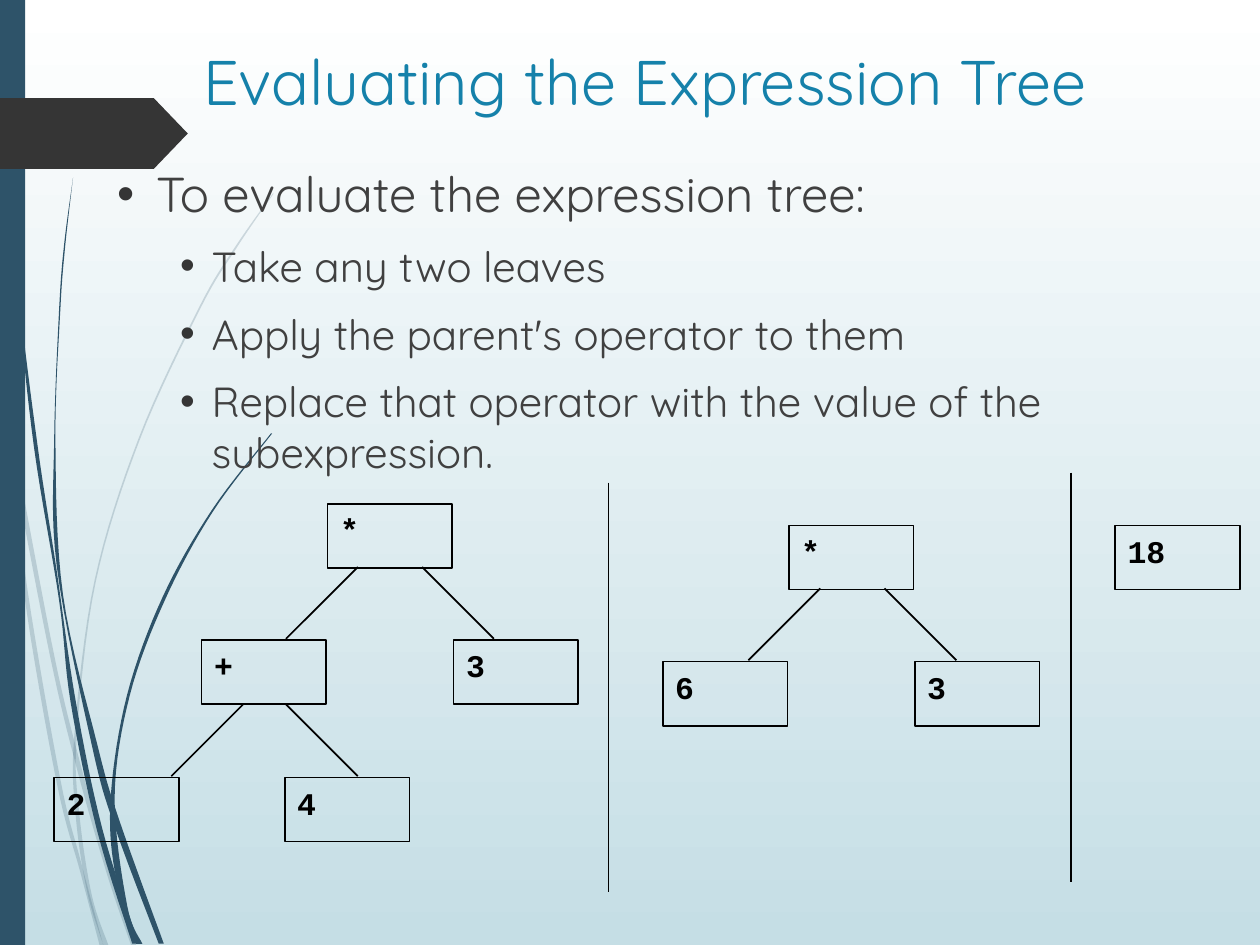
from dataclasses import dataclass

from lxml import etree
from pptx import Presentation
from pptx.dml.color import RGBColor
from pptx.enum.shapes import MSO_CONNECTOR, MSO_SHAPE
from pptx.enum.text import MSO_ANCHOR, MSO_AUTO_SIZE, PP_ALIGN
from pptx.oxml.ns import qn
from pptx.util import Inches, Pt

RECT, ARROW = MSO_SHAPE.RECTANGLE, MSO_SHAPE.PENTAGON
STRAIGHT = MSO_CONNECTOR.STRAIGHT
TOP, NO_FIT = MSO_ANCHOR.TOP, MSO_AUTO_SIZE.NONE
LEFT, CENTER = PP_ALIGN.LEFT, PP_ALIGN.CENTER


@dataclass(frozen=True)
class Theme:
    sky_top: str = "FFFFFF"
    sky_bottom: str = "C5DEE5"
    accent: str = "2E5369"
    tab: str = "353535"
    title: str = "1581AA"
    body: str = "404040"
    ink: str = "000000"
    font: str = "Quicksand"
    code_font: str = "Courier New"
    title_size: int = 36
    body_sizes: tuple = (28, 24)
    code_size: int = 18


# Outlines of the grass blades: each has two edges, listed top to bottom
PALE_BLADES = [
    ([(0, 2.99), (0.12, 3.76), (0.4, 5.22), (0.61, 6.1), (0.85, 6.94), (1.04, 7.5)],
     [(0, 2.82), (0.1, 3.45), (0.43, 5.2), (0.64, 6.07), (0.88, 6.92), (1.08, 7.5)]),
    ([(0.08, 3.5), (0.19, 4.7), (0.45, 6.21), (0.64, 6.93), (0.79, 7.5)],
     [(0.08, 3.5), (0.22, 4.69), (0.48, 6.19), (0.64, 6.83), (0.82, 7.5)]),
    ([(2.17, 1.53), (1.86, 1.97), (1.58, 2.44), (1.1, 3.48), (0.75, 4.61),
      (0.59, 5.84), (0.6, 6.46), (0.69, 7.07), (0.82, 7.5)],
     [(2.17, 1.54), (1.87, 1.98), (1.59, 2.45), (1.11, 3.49), (0.76, 4.62),
      (0.61, 5.84), (0.63, 6.46), (0.73, 7.11), (0.86, 7.5)]),
]
DARK_BLADES = [
    ([(0.02, 0), (0.05, 1.1), (0.14, 2.33), (0.27, 3.55), (0.47, 4.77),
      (0.56, 5.57), (0.77, 6.59), (1.05, 7.49)],
     [(0.03, 0), (0.06, 1.09), (0.15, 2.32), (0.3, 3.55), (0.45, 4.53),
      (0.6, 5.56), (0.81, 6.57), (1.1, 7.49)]),
    ([(0.58, 1.41), (0.51, 1.93), (0.47, 2.44), (0.43, 3.49), (0.45, 4.49),
      (0.73, 5.92), (0.91, 6.56), (1.26, 7.49)],
     [(0.58, 1.41), (0.52, 1.93), (0.48, 2.44), (0.44, 3.49), (0.5, 4.72),
      (0.77, 5.9), (0.94, 6.49), (1.3, 7.49)]),
    ([(2.15, 3.44), (1.68, 4.05), (1.29, 4.74), (1.01, 5.51), (0.88, 6.31),
      (0.91, 6.91), (1.08, 7.49)],
     [(2.16, 3.44), (1.69, 4.06), (1.31, 4.76), (1.03, 5.52), (0.91, 6.33),
      (1.01, 7.19), (1.13, 7.49)]),
]

BULLETS = [
    (0, "To evaluate the expression tree:"),
    (1, "Take any two leaves"),
    (1, "Apply the parent's operator to them"),
    (1, "Replace that operator with the value of the subexpression."),
]
BULLET_INDENTS = [(0.81, -0.31), (1.25, -0.25)]

# Trees: nodes as (text, left, top), branches as (start x, start y, direction)
NODES = [
    ("*", 2.6, 4), ("+", 1.6, 5.08), ("3", 3.6, 5.08), ("2", 0.43, 6.17), ("4", 2.26, 6.17),
    ("*", 6.26, 4.17), ("6", 5.26, 5.25), ("3", 7.26, 5.25),
    ("18", 8.85, 4.17),
]
BRANCHES = [
    (2.84, 4.5, -1), (3.35, 4.5, 1), (1.93, 5.59, -1), (2.27, 5.59, 1),
    (6.51, 4.67, -1), (7.02, 4.67, 1),
]
BRANCH_SPAN = 0.57
NODE_SIZE = (0.99, 0.51)
DIVIDERS = [(4.83, 3.83), (8.5, 3.75)]
DIVIDER_HEIGHT = 3.25


def smooth(points, steps=8):
    """Points along a Catmull-Rom curve through the given points."""
    padded = [points[0], *points, points[-1]]
    curve = [points[0]]
    for a, b, c, d in zip(padded, padded[1:], padded[2:], padded[3:]):
        for i in range(1, steps + 1):
            t = i / steps
            curve.append(tuple(
                b[k] + t * (c[k] - a[k]) / 2
                + t * t * (a[k] - 2.5 * b[k] + 2 * c[k] - d[k] / 2)
                + t ** 3 * (3 * b[k] - a[k] - 3 * c[k] + d[k]) / 2
                for k in (0, 1)))
    return curve


class Deck:
    def __init__(self, theme, s):
        self.theme, self.s = theme, s

    def background(self):
        fill = self.s.background.fill
        fill.gradient()
        fill.gradient_angle = 270
        colors = (self.theme.sky_top, self.theme.sky_bottom)
        for position, (stop, color) in enumerate(zip(fill.gradient_stops, colors)):
            stop.position = position
            stop.color.rgb = RGBColor.from_string(color)

    def paint(self, sp, color):
        sp.shadow.inherit = False
        sp.line.fill.background()
        sp.fill.solid()
        sp.fill.fore_color.rgb = RGBColor.from_string(color)

    def blade(self, edges, opacity=100):
        near, far = edges
        outline = [(Inches(x), Inches(y)) for x, y in smooth(near) + smooth(far)[::-1]]
        builder = self.s.shapes.build_freeform(*outline[0])
        builder.add_line_segments(outline[1:])
        sp = builder.convert_to_shape()
        self.paint(sp, self.theme.accent)
        if opacity < 100:
            color = sp.fill._xPr.find(f"{qn('a:solidFill')}/{qn('a:srgbClr')}")
            etree.SubElement(color, qn("a:alpha"), val=str(opacity * 1000))

    def block(self, kind, box, color):
        sp = self.s.shapes.add_shape(kind, *map(Inches, box))
        self.paint(sp, color)
        return sp

    def place(self, sp, box):
        """Position a placeholder and bring it in front of the decoration."""
        sp.left, sp.top, sp.width, sp.height = map(Inches, box)
        self.s.shapes.element.append(sp.element)
        tf = sp.text_frame
        tf.word_wrap, tf.auto_size, tf.vertical_anchor = True, NO_FIT, TOP
        return tf

    def style(self, p, font, size, color, bold=False):
        p.font.name, p.font.size, p.font.bold = font, Pt(size), bold
        p.font.color.rgb = RGBColor.from_string(color)

    def title(self, text, box):
        p = self.place(self.s.shapes.title, box).paragraphs[0]
        p.text, p.alignment = text, CENTER
        self.style(p, self.theme.font, self.theme.title_size, self.theme.title)

    def bullets(self, items, box):
        tf = self.place(self.s.placeholders[1], box)
        for i, (depth, text) in enumerate(items):
            p = tf.add_paragraph() if i else tf.paragraphs[0]
            p.text, p.level, p.space_before = text, depth + 1, Pt(10)
            self.style(p, self.theme.font, self.theme.body_sizes[depth], self.theme.body)
            pPr = p._p.get_or_add_pPr()
            margin, indent = BULLET_INDENTS[depth]
            pPr.set("marL", str(Inches(margin)))
            pPr.set("indent", str(Inches(indent)))
            # Bullet settings go in front of the default run properties
            color = etree.Element(qn("a:buClr"))
            etree.SubElement(color, qn("a:srgbClr"), val=self.theme.tab)
            font = etree.Element(qn("a:buFont"), typeface="Arial")
            char = etree.Element(qn("a:buChar"), char="•")
            for el in (color, font, char):
                pPr.find(qn("a:defRPr")).addprevious(el)

    def line(self, x1, y1, x2, y2):
        c = self.s.shapes.add_connector(STRAIGHT, *map(Inches, (x1, y1, x2, y2)))
        c.line.color.rgb = RGBColor.from_string(self.theme.ink)
        c.line.width = Pt(1)
        etree.SubElement(c.element.spPr, qn("a:effectLst"))

    def node(self, text, x, y):
        sp = self.s.shapes.add_shape(RECT, *map(Inches, (x, y, *NODE_SIZE)))
        sp.shadow.inherit = False
        sp.fill.background()
        sp.line.color.rgb = RGBColor.from_string(self.theme.ink)
        sp.line.width = Pt(1)
        sp.text_frame.vertical_anchor = TOP
        p = sp.text_frame.paragraphs[0]
        p.text, p.alignment = text, LEFT
        self.style(p, self.theme.code_font, self.theme.code_size, self.theme.ink, bold=True)


def main():
    prs = Presentation()
    prs.slide_width, prs.slide_height = Inches(10), Inches(7.5)
    theme = Theme()
    deck = Deck(theme, prs.slides.add_slide(prs.slide_layouts[1]))

    # Backdrop
    deck.background()
    for edges in PALE_BLADES:
        deck.blade(edges, opacity=20)
    for edges in DARK_BLADES:
        deck.blade(edges)
    deck.block(RECT, (0, 0, 0.2, 7.5), theme.accent)
    tab = deck.block(ARROW, (0, 0.78, 1.49, 0.56), theme.tab)
    tab.adjustments[0] = 0.48

    # Title and list
    deck.title("Evaluating the Expression Tree", (0.83, 0.29, 8.58, 1.46))
    deck.bullets(BULLETS, (0.33, 1.25, 9.42, 2.42))

    # Expression trees, one per evaluation step
    for x, y, direction in BRANCHES:
        deck.line(x, y, x + direction * BRANCH_SPAN, y + BRANCH_SPAN)
    for node in NODES:
        deck.node(*node)
    for x, y in DIVIDERS:
        deck.line(x, y, x, y + DIVIDER_HEIGHT)

    prs.save("out.pptx")


if __name__ == "__main__":
    main()
